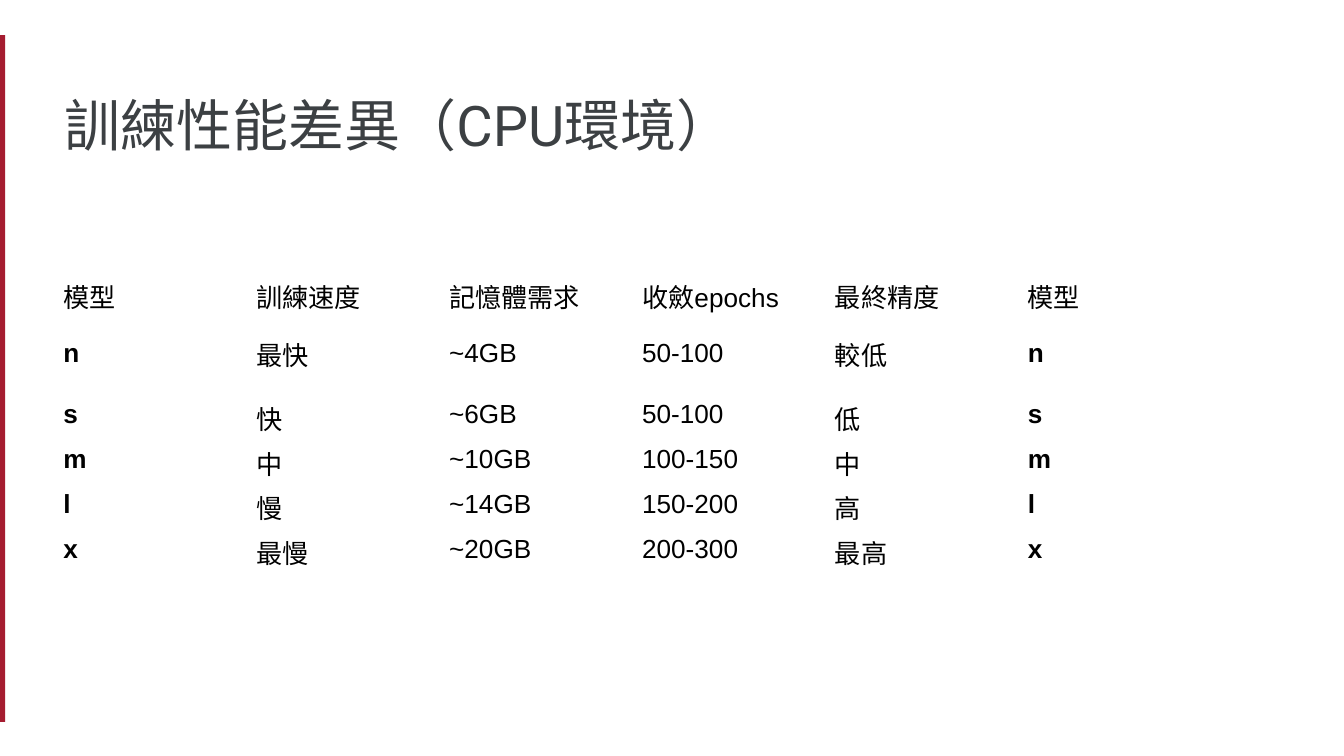
from pptx import Presentation
from pptx.dml.color import RGBColor as RGB
from pptx.enum.shapes import MSO_SHAPE as Shape
from pptx.enum.text import MSO_ANCHOR as Anchor
from pptx.util import Pt

RED = RGB(0xA5, 0x1C, 0x30)
GREY = RGB(0x3C, 0x40, 0x43)
BLACK = RGB(0, 0, 0)

HEAD = ["模型", "訓練速度", "記憶體需求", "收斂epochs", "最終精度"]
MODELS = [
    ["n", "最快", "~4GB", "50-100", "較低"],
    ["s", "快", "~6GB", "50-100", "低"],
    ["m", "中", "~10GB", "100-150", "中"],
    ["l", "慢", "~14GB", "150-200", "高"],
    ["x", "最慢", "~20GB", "200-300", "最高"],
]
ROW, TALL = 24, 41


def add_run(para, text, size, font, color, bold=False):
    run = para.add_run()
    run.text = text
    run.font.size = Pt(size)
    run.font.name = font
    run.font.bold = bold
    run.font.color.rgb = color


def add_bar(slide, x, y, w, h):
    bar = slide.shapes.add_shape(Shape.RECTANGLE, Pt(x), Pt(y), Pt(w), Pt(h))
    bar.shadow.inherit = False
    bar.fill.solid()
    bar.fill.fore_color.rgb = RED
    bar.line.fill.background()


def add_title(slide, x, y, w, h, text):
    frame = slide.shapes.add_textbox(Pt(x), Pt(y), Pt(w), Pt(h)).text_frame
    frame.word_wrap = True
    frame.vertical_anchor = Anchor.MIDDLE
    frame.margin_left = frame.margin_right = Pt(7.2)
    frame.margin_top = frame.margin_bottom = Pt(7.2)
    para = frame.paragraphs[0]
    para.line_spacing = 0.9
    add_run(para, text, 30, "Roboto", GREY)


def add_grid(slide, x, y, w, h):
    # The model column is repeated at the right edge
    rows = [row + row[:1] for row in [HEAD] + MODELS]
    count = len(rows[0])
    grid = slide.shapes.add_table(
        len(rows), count, Pt(x), Pt(y), Pt(w), Pt(h)).table
    grid.first_row = grid.horz_banding = False
    for col in grid.columns:
        col.width = Pt(w / count)
    for r, row in enumerate(rows):
        grid.rows[r].height = Pt(TALL if r == 1 else ROW)
        for c, text in enumerate(row):
            cell = grid.cell(r, c)
            cell.fill.background()
            cell.vertical_anchor = Anchor.MIDDLE
            bold = r > 0 and c in (0, count - 1)
            add_run(cell.text_frame.paragraphs[0], text, 14, "Arial",
                    BLACK, bold)


def main():
    deck = Presentation()
    deck.slide_width, deck.slide_height = Pt(720), Pt(405)
    slide = deck.slides.add_slide(deck.slide_layouts[6])
    # Accent bar on the left edge
    add_bar(slide, -1.5, 18.8, 4.3, 368)
    # Title
    add_title(slide, 27.4, 47.5, 614, 42.5, "訓練性能差異（CPU環境）")
    # Training comparison
    add_grid(slide, 26.8, 145, 620, 5 * ROW + TALL)
    deck.save("out.pptx")


if __name__ == "__main__":
    main()
